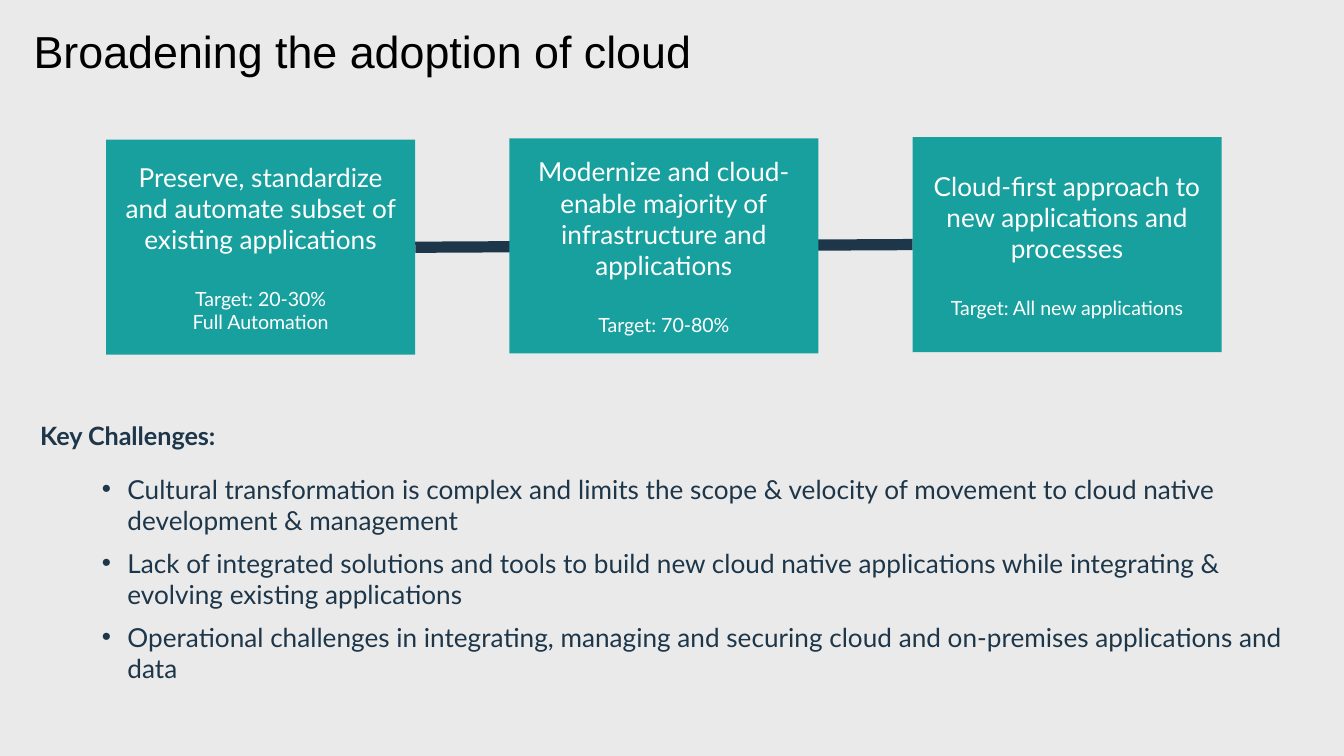
from dataclasses import dataclass

from lxml import etree
from pptx import Presentation
from pptx.dml.color import RGBColor
from pptx.enum.shapes import MSO_CONNECTOR, MSO_SHAPE
from pptx.enum.text import MSO_ANCHOR, PP_ALIGN
from pptx.oxml.ns import qn
from pptx.util import Inches, Pt

STRAIGHT = MSO_CONNECTOR.STRAIGHT
RECTANGLE = MSO_SHAPE.RECTANGLE
TOP, MIDDLE = MSO_ANCHOR.TOP, MSO_ANCHOR.MIDDLE
LEFT, CENTER = PP_ALIGN.LEFT, PP_ALIGN.CENTER
TITLE_ONLY = 5


@dataclass(frozen=True)
class Theme:
    """Colours, fonts and type sizes of the slide."""

    background: RGBColor = RGBColor(0xEA, 0xEA, 0xEA)
    teal: RGBColor = RGBColor(0x18, 0xA0, 0x9E)
    navy: RGBColor = RGBColor(0x1D, 0x36, 0x49)
    white: RGBColor = RGBColor(0xFF, 0xFF, 0xFF)
    black: RGBColor = RGBColor(0, 0, 0)
    title_font: str = "Arial"
    body_font: str = "Lato"
    title_size: Pt = Pt(24)
    heading_size: Pt = Pt(13.5)
    body_size: Pt = Pt(14)
    target_size: Pt = Pt(10.5)
    target_gap: Pt = Pt(16.8)
    bullet_gap: Pt = Pt(6)


THEME = Theme()

STAGES = [
    (["Preserve, standardize and automate subset of existing applications"],
     ["Target: 20-30%", "Full Automation"]),
    (["Modernize and cloud- enable majority of", "infrastructure and", "applications"],
     ["Target: 70-80%"]),
    (["Cloud-first approach to new applications and processes"],
     ["Target: All new applications"]),
]

CHALLENGES = [
    "Cultural transformation is complex and limits the scope & velocity of movement "
    "to cloud native development & management",
    "Lack of integrated solutions and tools to build new cloud native applications "
    "while integrating & evolving existing applications",
    "Operational challenges in integrating, managing and securing cloud and "
    "on-premises applications and data",
]


def apply(target, values):
    """Set each named attribute of the target."""
    for name, value in values.items():
        setattr(target, name, value)


def write(para, text, size, color, font=THEME.body_font, bold=False):
    """Add one formatted span to a paragraph."""
    span = para.add_run()
    span.text = text
    apply(span.font, {"size": size, "name": font, "bold": bold})
    span.font.color.rgb = color


def next_para(frame, index):
    """Return the first paragraph for index 0, otherwise a new one."""
    return frame.add_paragraph() if index else frame.paragraphs[0]


def add_title(page, text):
    """Place and fill the title placeholder."""
    title = page.shapes.title
    apply(title, {"left": Inches(0.25), "top": Inches(0.22),
                  "width": Inches(7.69), "height": Inches(0.42)})
    frame = title.text_frame
    apply(frame, {"margin_left": 0, "margin_right": 0, "margin_top": 0,
                  "margin_bottom": 0, "vertical_anchor": TOP, "word_wrap": True})
    para = frame.paragraphs[0]
    apply(para, {"alignment": LEFT, "line_spacing": 0.9})
    write(para, text, THEME.title_size, THEME.black, THEME.title_font)


def add_link(page, start, end):
    """Draw the thick line that joins the stages."""
    link = page.shapes.add_connector(STRAIGHT, *map(Inches, start + end))
    link.line.color.rgb = THEME.navy
    link.line.width = Pt(6)
    etree.SubElement(link._element.spPr, qn("a:effectLst"))


def add_stage(page, left, top, goals, targets):
    """Draw a teal box with its goal and, below a gap, its target."""
    box = page.shapes.add_shape(
        RECTANGLE, Inches(left), Inches(top), Inches(2.3), Inches(1.6))
    box.shadow.inherit = False
    box.fill.solid()
    box.fill.fore_color.rgb = THEME.teal
    box.line.fill.background()
    frame = box.text_frame
    apply(frame, {"word_wrap": True, "vertical_anchor": MIDDLE})
    for index, text in enumerate(goals + targets):
        para = next_para(frame, index)
        para.alignment = CENTER
        if index == len(goals):
            para.space_before = THEME.target_gap
        size = THEME.body_size if index < len(goals) else THEME.target_size
        write(para, text, size, THEME.white)


def add_heading(page, text):
    """Add the bold heading above the bullets."""
    box = page.shapes.add_textbox(
        Inches(0.2), Inches(3.08), Inches(2.17), Inches(0.4))
    write(box.text_frame.paragraphs[0], text, THEME.heading_size, THEME.navy, bold=True)


def add_bullets(page, texts):
    """Add the bulleted list with hanging indents."""
    box = page.shapes.add_textbox(
        Inches(0.66), Inches(3.47), Inches(9.13), Inches(1.68))
    box.text_frame.word_wrap = True
    for index, text in enumerate(texts):
        para = next_para(box.text_frame, index)
        if index:
            para.space_before = THEME.bullet_gap
        properties = para._p.get_or_add_pPr()
        properties.set("marL", str(Inches(0.19)))
        properties.set("indent", str(-Inches(0.19)))
        etree.SubElement(properties, qn("a:buFont"), typeface="Arial")
        etree.SubElement(properties, qn("a:buChar"), char="•")
        write(para, text, THEME.body_size, THEME.navy)


def main():
    """Build and save the slide."""
    deck = Presentation()
    apply(deck, {"slide_width": Inches(10), "slide_height": Inches(10 * 9 / 16)})
    page = deck.slides.add_slide(deck.slide_layouts[TITLE_ONLY])
    page.background.fill.solid()
    page.background.fill.fore_color.rgb = THEME.background
    add_title(page, "Broadening the adoption of cloud")
    add_link(page, (3.09, 1.84), (6.79, 1.82))
    for index, (goals, targets) in enumerate(STAGES):
        add_stage(page, 0.79 + 3 * index, 1.04 - 0.01 * index, goals, targets)
    add_heading(page, "Key Challenges:")
    add_bullets(page, CHALLENGES)
    deck.save("out.pptx")


if __name__ == "__main__":
    main()
